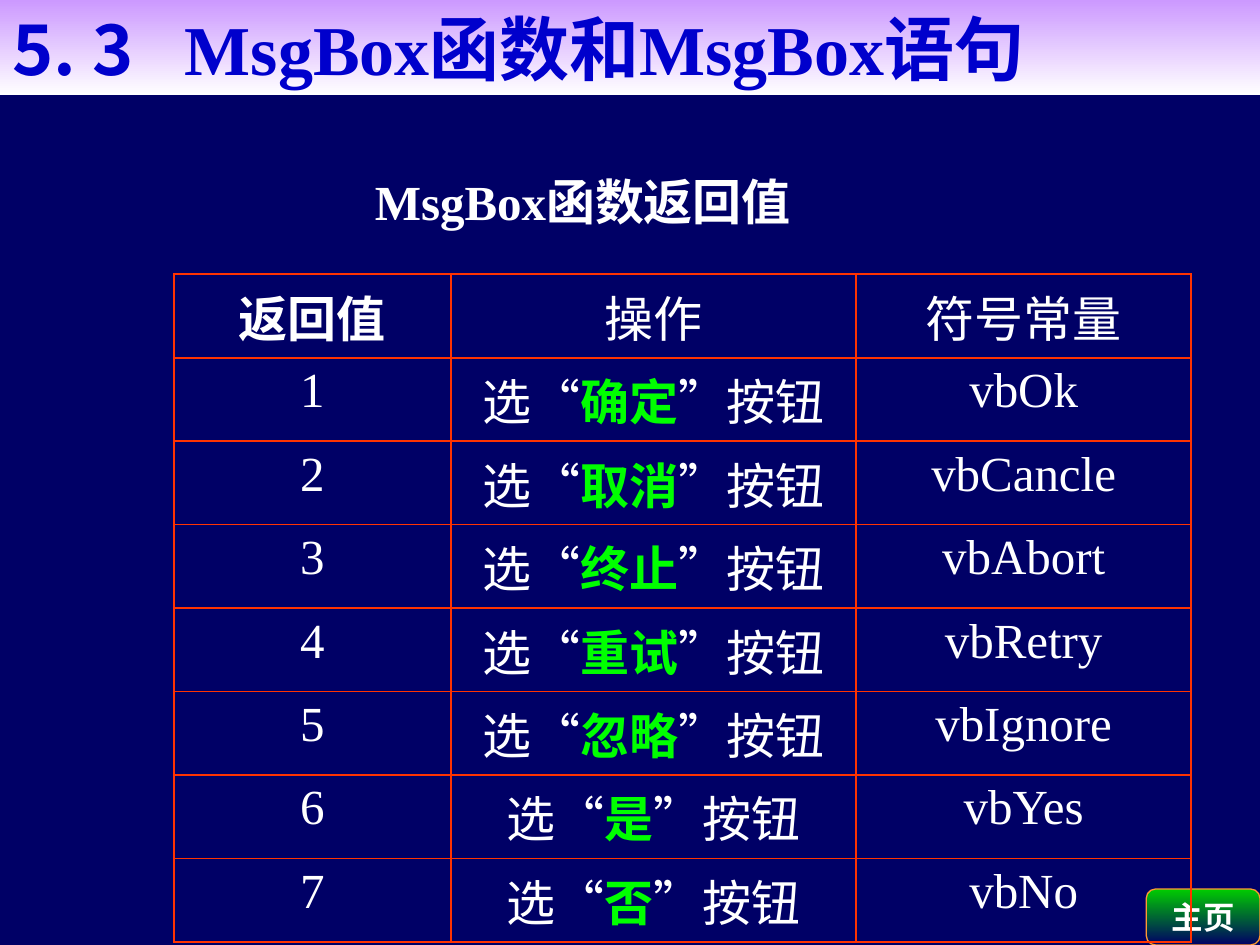
"""Build the slide on the return values of the MsgBox function."""
from dataclasses import dataclass

from lxml.etree import SubElement
from pptx import Presentation
from pptx.dml.color import RGBColor
from pptx.enum.shapes import MSO_SHAPE
from pptx.enum.text import MSO_ANCHOR, MSO_AUTO_SIZE, PP_ALIGN
from pptx.oxml.ns import qn
from pptx.util import Pt


@dataclass(frozen=True)
class Theme:
    back: str = "000066"
    title: str = "0000CC"
    title_band: tuple = ("CC99FF", "FFFFFF")
    button: tuple = ("00CC00", "000066")
    button_line: str = "FF9933"
    text: str = "FFFFFF"
    choice: str = "00FF00"
    grid: str = "FF3300"
    latin: str = "Times New Roman"
    asian: str = "Noto Sans CJK JP"
    title_size: int = 40
    text_size: int = 28
    button_size: int = 18


THEME = Theme()
CHOICES = [
    ("确定", "vbOk"),
    ("取消", "vbCancle"),
    ("终止", "vbAbort"),
    ("重试", "vbRetry"),
    ("忽略", "vbIgnore"),
    ("是", "vbYes"),
    ("否", "vbNo"),
]


def rgb(value):
    return RGBColor.from_string(value)


def place(sp, left, top, width, height):
    sp.left, sp.top, sp.width, sp.height = map(Pt, (left, top, width, height))


def add_text(p, text, size=THEME.text_size, color=THEME.text, bold=False, font=THEME.latin):
    r = p.add_run()
    r.text = text
    r.font.size, r.font.bold, r.font.name = Pt(size), bold, font
    r.font.color.rgb = rgb(color)
    SubElement(r.font._element, qn("a:ea"), typeface=THEME.asian)


def fill_gradient(sp, colors):
    sp.fill.gradient()
    sp.fill.gradient_angle = 270
    for stop, color in zip(sp.fill.gradient_stops, colors):
        stop.color.rgb = rgb(color)


def start_paragraph(tf, align=PP_ALIGN.LEFT):
    p = tf.paragraphs[0]
    p.alignment = align
    p.space_before = Pt(0)
    return p


def add_title(s):
    sp = s.shapes.title
    place(sp, 0, 0, 720, 54.5)
    fill_gradient(sp, THEME.title_band)
    tf = sp.text_frame
    tf.auto_size = MSO_AUTO_SIZE.NONE
    tf.vertical_anchor = MSO_ANCHOR.MIDDLE
    p = start_paragraph(tf)
    tabs = SubElement(p._p.get_or_add_pPr(), qn("a:tabLst"))
    SubElement(tabs, qn("a:tab"), pos=str(Pt(98.5)), algn="l")
    look = {"size": THEME.title_size, "color": THEME.title, "bold": True}
    add_text(p, "5. 3", font=THEME.asian, **look)
    add_text(p, "\tMsgBox函数和MsgBox语句", **look)


def add_caption(s):
    sp = s.placeholders[1]
    place(sp, 207, 94.5, 272, 45)
    sp.text_frame.auto_size = MSO_AUTO_SIZE.NONE
    p = start_paragraph(sp.text_frame)
    pPr = p._p.get_or_add_pPr()
    pPr.set("marL", "0")
    pPr.set("indent", "0")
    SubElement(pPr, qn("a:buNone"))
    add_text(p, "MsgBox函数返回值", bold=True)


def add_home_button(s):
    sp = s.shapes.add_shape(MSO_SHAPE.ROUNDED_RECTANGLE, Pt(655), Pt(508), Pt(65), Pt(32))
    sp.shadow.inherit = False
    fill_gradient(sp, THEME.button)
    sp.line.color.rgb = rgb(THEME.button_line)
    sp.line.width = Pt(0.75)
    tf = sp.text_frame
    tf.word_wrap = False
    tf.vertical_anchor = MSO_ANCHOR.MIDDLE
    add_text(start_paragraph(tf, PP_ALIGN.CENTER), "主页", size=THEME.button_size, bold=True)


def format_cell(cell):
    tcPr = cell._tc.get_or_add_tcPr()
    for side in ("lnL", "lnR", "lnT", "lnB"):
        ln = SubElement(tcPr, qn(f"a:{side}"), w=str(Pt(1.08)))
        fill = SubElement(ln, qn("a:solidFill"))
        SubElement(fill, qn("a:srgbClr"), val=THEME.grid)
    cell.fill.background()


def add_return_table(s):
    bold, choice = {"bold": True}, {"bold": True, "color": THEME.choice}
    rows = [[[("返回值", bold)], [("操作", {})], [("符号常量", {})]]]
    for value, (name, constant) in enumerate(CHOICES, 1):
        action = [("选“", {}), (name, choice), ("”按钮", {})]
        rows.append([[(str(value), {})], action, [(constant, {})]])
    widths, height = (158.5, 231.5, 191.5), 40.8
    frame = s.shapes.add_table(
        len(rows), len(widths), Pt(99.25), Pt(156.75), Pt(sum(widths)), Pt(height * len(rows))
    )
    table = frame.table
    table.first_row = table.horz_banding = False
    for column, width in zip(table.columns, widths):
        column.width = Pt(width)
    for row, contents in zip(table.rows, rows):
        row.height = Pt(height)
        for cell, runs in zip(row.cells, contents):
            format_cell(cell)
            p = start_paragraph(cell.text_frame, PP_ALIGN.CENTER)
            for text, look in runs:
                add_text(p, text, **look)


def main():
    prs = Presentation()
    prs.slide_width, prs.slide_height = Pt(720), Pt(540)
    s = prs.slides.add_slide(prs.slide_layouts[1])
    s.background.fill.solid()
    s.background.fill.fore_color.rgb = rgb(THEME.back)
    add_home_button(s)
    add_title(s)
    add_caption(s)
    add_return_table(s)
    prs.save("out.pptx")


if __name__ == "__main__":
    main()
